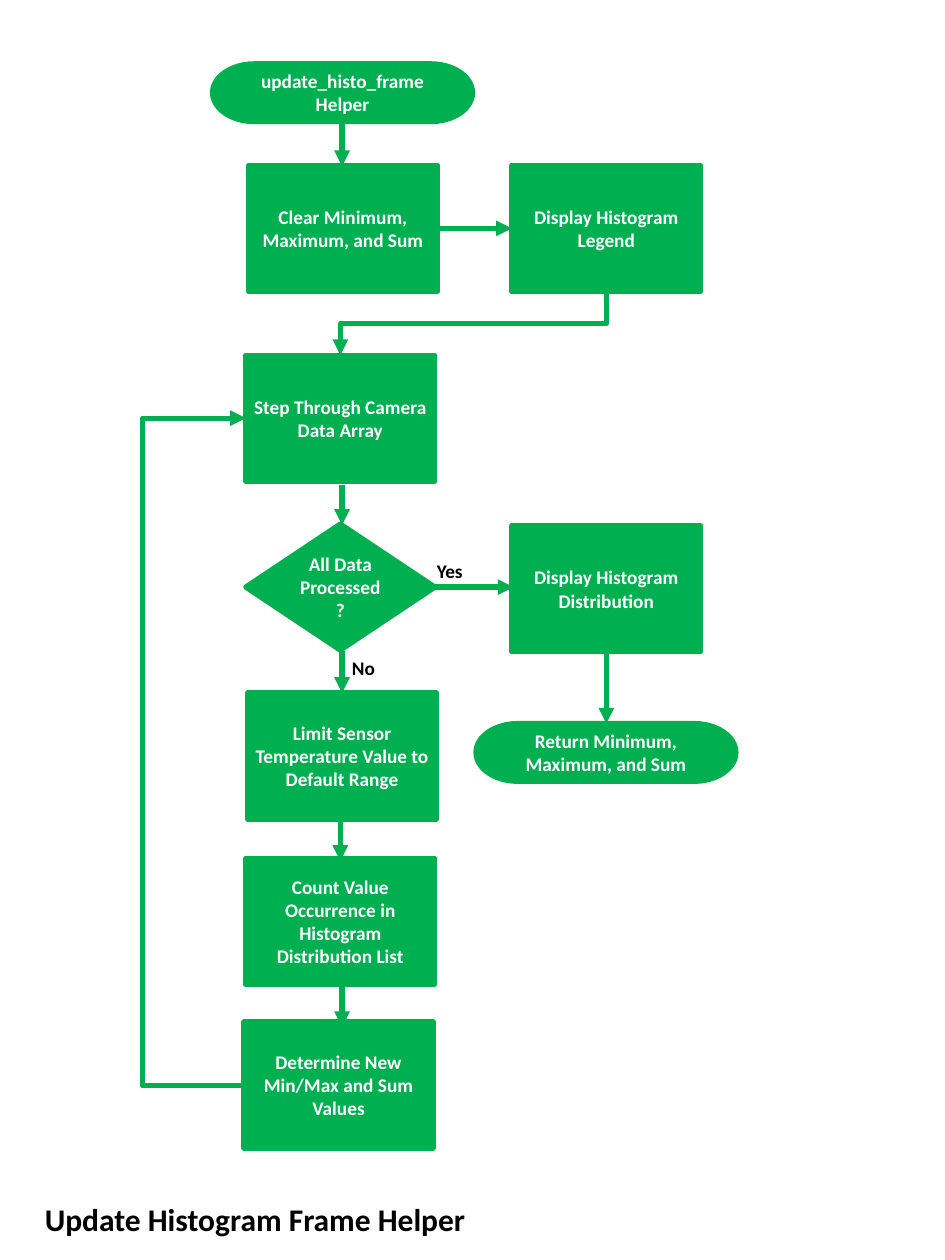
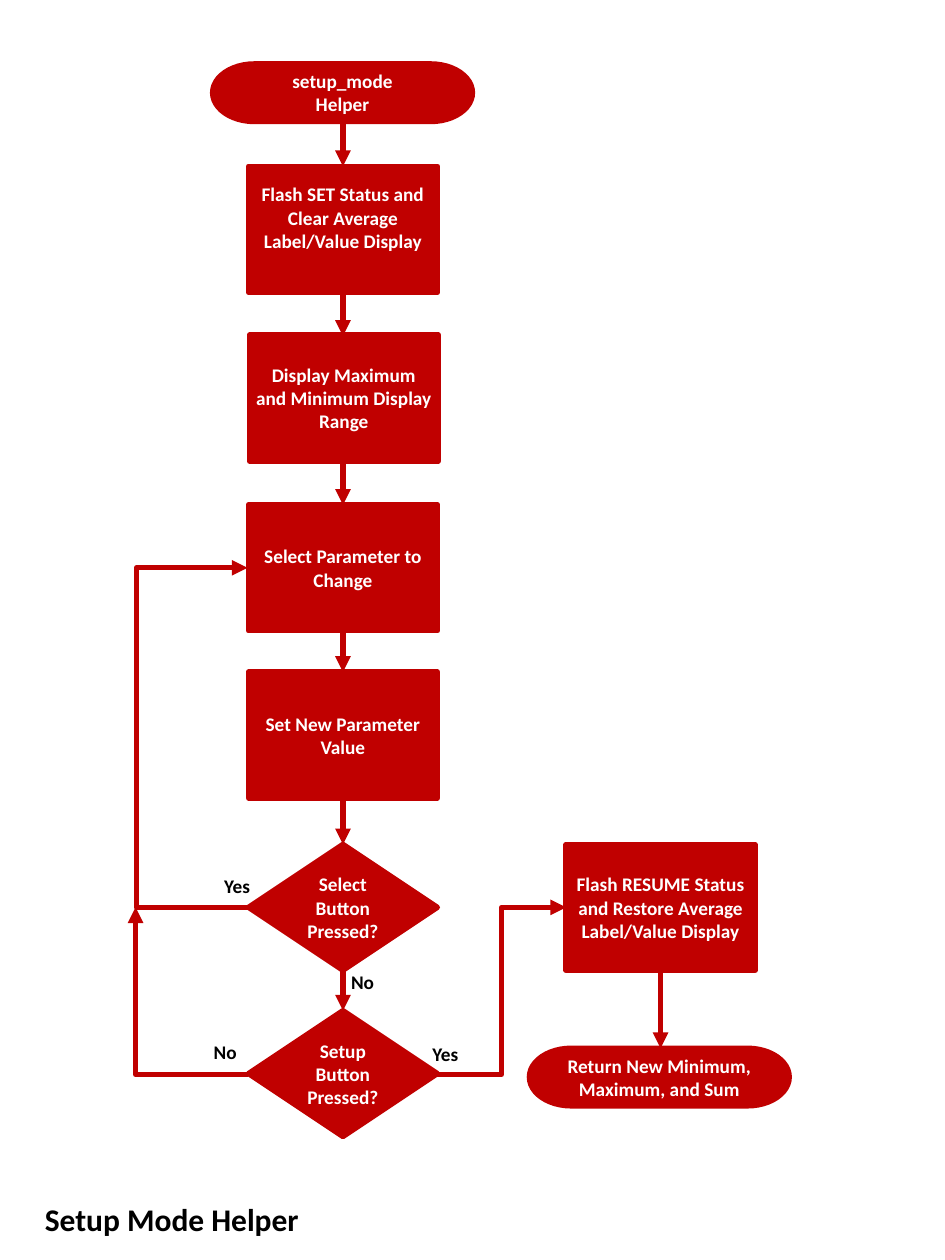
from dataclasses import dataclass
from typing import Optional

from lxml.etree import SubElement as Sub
from pptx import Presentation
from pptx.dml.color import RGBColor as Rgb
from pptx.enum.shapes import MSO_CONNECTOR as Conn, MSO_SHAPE as Form
from pptx.enum.text import MSO_ANCHOR as Anchor, MSO_AUTO_SIZE as Auto, PP_ALIGN as Align
from pptx.oxml.ns import qn
from pptx.util import Pt

COLORS = {"green": "00B050", "red": "C00000", "white": "FFFFFF", "black": "000000"}
FONT = "Calibri"
LINE = 3
INSET = 3.6

# Form, width, height and side inset of each kind of node
KINDS = {
    "step": (Form.FLOWCHART_PROCESS, 108, 72, INSET),
    "test": (Form.FLOWCHART_DECISION, 108, 72, INSET),
    "end": (Form.FLOWCHART_TERMINATOR, 148.5, 33, 7.2),
}


@dataclass
class Node:
    kind: str
    x: float
    y: float
    text: str
    base: float = INSET  # bottom inset


@dataclass
class Label:
    x: float
    y: float
    text: str


@dataclass
class Link:
    x1: float
    y1: float
    x2: float
    y2: float
    way: str = "line"  # line, side, down or corner
    mid: Optional[float] = None  # x of the upright part of a side link


@dataclass
class Chart:
    title: str
    color: str
    nodes: list[Node]
    links: list[Link]
    labels: list[Label]


def style(frame, size: float, color: str, align=None) -> None:
    for para in frame.paragraphs:
        para.alignment = align
        for run in para.runs:
            run.font.name = FONT
            run.font.size = Pt(size)
            run.font.bold = True
            run.font.color.rgb = Rgb.from_string(COLORS[color])


def add_node(slide, node: Node, color: str) -> None:
    form, wide, high, side = KINDS[node.kind]
    shape = slide.shapes.add_shape(form, Pt(node.x), Pt(node.y), Pt(wide), Pt(high))
    shape.shadow.inherit = False
    shape.fill.solid()
    shape.fill.fore_color.rgb = Rgb.from_string(COLORS[color])
    shape.line.color.rgb = Rgb.from_string(COLORS[color])
    shape.line.width = Pt(LINE)
    frame = shape.text_frame
    frame.text = node.text
    frame.word_wrap = True
    frame.vertical_anchor = Anchor.MIDDLE
    frame.margin_left = frame.margin_right = Pt(side)
    frame.margin_top, frame.margin_bottom = Pt(INSET), Pt(node.base)
    style(frame, 11, "white", Align.CENTER)


def add_text(slide, label: Label, wide: float, high: float, size: float) -> None:
    box = slide.shapes.add_textbox(Pt(label.x), Pt(label.y), Pt(wide), Pt(high))
    frame = box.text_frame
    frame.text = label.text
    frame.word_wrap = True
    frame.auto_size = Auto.SHAPE_TO_FIT_TEXT
    style(frame, size, "black")


def add_link(slide, link: Link, color: str) -> None:
    x1, y1, x2, y2 = link.x1, link.y1, link.x2, link.y2
    if link.way == "down":  # the frame before its quarter turn
        wide, high = y2 - y1, x1 - x2
        x1, y1 = (x1 + x2 - wide) / 2, (y1 + y2 - high) / 2
        x2, y2 = x1 + wide, y1 + high
    kind = Conn.STRAIGHT if link.way == "line" else Conn.ELBOW
    wire = slide.shapes.add_connector(kind, Pt(x1), Pt(y1), Pt(x2), Pt(y2))
    wire.line.color.rgb = Rgb.from_string(COLORS[color])
    wire.line.width = Pt(LINE)
    props = wire.element.spPr
    geom = props.find(qn("a:prstGeom"))
    if link.way == "down":
        props.find(qn("a:xfrm")).set("rot", str(90 * 60000))
    if link.way == "corner":
        geom.set("prst", "bentConnector2")
    if link.mid is not None:
        ratio = (link.mid - x1) / (x2 - x1)
        guides = geom.find(qn("a:avLst"))
        if guides is None:
            guides = Sub(geom, qn("a:avLst"))
        Sub(guides, qn("a:gd"), name="adj1", fmla=f"val {round(ratio * 100000)}")
    Sub(props.find(qn("a:ln")), qn("a:tailEnd"), type="triangle")
    Sub(props, qn("a:effectLst"))


def add_chart(deck, chart: Chart) -> None:
    slide = deck.slides.add_slide(deck.slide_layouts[6])
    for node in chart.nodes:
        add_node(slide, node, chart.color)
    for link in chart.links:
        add_link(slide, link, chart.color)
    for label in chart.labels:
        add_text(slide, label, 30.24, 20.6, 11)
    add_text(slide, Label(18.5, 682, chart.title), 275, 29, 18)


def drops(x: float, spans: list[tuple[float, float]]) -> list[Link]:
    """Straight arrows down one column."""
    return [Link(x, top, x, end) for top, end in spans]


# Histogram flow
HISTO = Chart(
    "Update Histogram Frame Helper", "green",
    [
        Node("end", 121.5, 36.5, "update_histo_frame\nHelper"),
        Node("step", 142, 94.5, "Clear Minimum, Maximum, and Sum"),
        Node("step", 292.5, 94.5, "Display Histogram Legend"),
        Node("step", 140.5, 203, "Step Through Camera Data Array"),
        Node("test", 140.5, 299.5, "All Data Processed?"),
        Node("step", 292.5, 300.5, "Display Histogram Distribution"),
        Node("end", 272, 413.5, "Return Minimum, Maximum, and Sum"),
        Node("step", 141.5, 396, "Limit Sensor Temperature Value to Default Range"),
        Node("step", 140.5, 490.5, "Count Value Occurrence in Histogram Distribution List"),
        Node("step", 139.5, 584, "Determine New Min/Max and Sum Values"),
    ],
    drops(195.5, [(70, 95), (277, 300), (372, 396), (563, 587)])
    + drops(194.5, [(468, 492)])
    + drops(346.5, [(373, 413.5)])
    + [
        Link(250, 130.5, 292.5, 130.5),
        Link(248, 335.5, 293.5, 335.5),
        Link(346.5, 167, 194.5, 203, "down"),
        Link(139.5, 620.5, 140.5, 239, "side", 81),
    ],
    [Label(242.5, 316, "Yes"), Label(194, 371.5, "No")],
)

# Setup flow
SETUP = Chart(
    "Setup Mode Helper", "red",
    [
        Node("end", 121.5, 36.5, "setup_mode\nHelper"),
        Node("step", 142, 95, "Flash SET Status and\nClear Average Label/Value Display", 17),
        Node("step", 142.5, 191.5, "Display Maximum and Minimum Display Range"),
        Node("step", 142, 288.5, "Select Parameter to Change"),
        Node("step", 142, 384, "Set New Parameter Value"),
        Node("test", 142, 482.5, "Select Button Pressed?"),
        Node("test", 142, 577.5, "Setup Button Pressed?"),
        Node("step", 323.5, 482.5, "Flash RESUME Status and Restore Average Label/Value Display"),
        Node("end", 302.5, 599, "Return New Minimum, Maximum, and Sum"),
    ],
    drops(196, [(70, 95), (167, 192), (264, 288.5), (361, 384), (456, 482.5), (551, 577.5)])
    + drops(377.5, [(554.5, 599)])
    + [
        Link(142.5, 518.5, 141.5, 324.5, "side", 77.5),
        Link(142, 614, 77.5, 518.5, "corner"),
        Link(250, 614, 323.5, 518.5, "side", 286.5),
    ],
    [
        Label(121, 496, "Yes"), Label(193.5, 551, "No"),
        Label(240, 592, "Yes"), Label(115, 591, "No"),
    ],
)


def main() -> None:
    deck = Presentation()
    deck.slide_width, deck.slide_height = Pt(540), Pt(720)
    for chart in (HISTO, SETUP):
        add_chart(deck, chart)
    deck.save("out.pptx")


if __name__ == "__main__":
    main()
